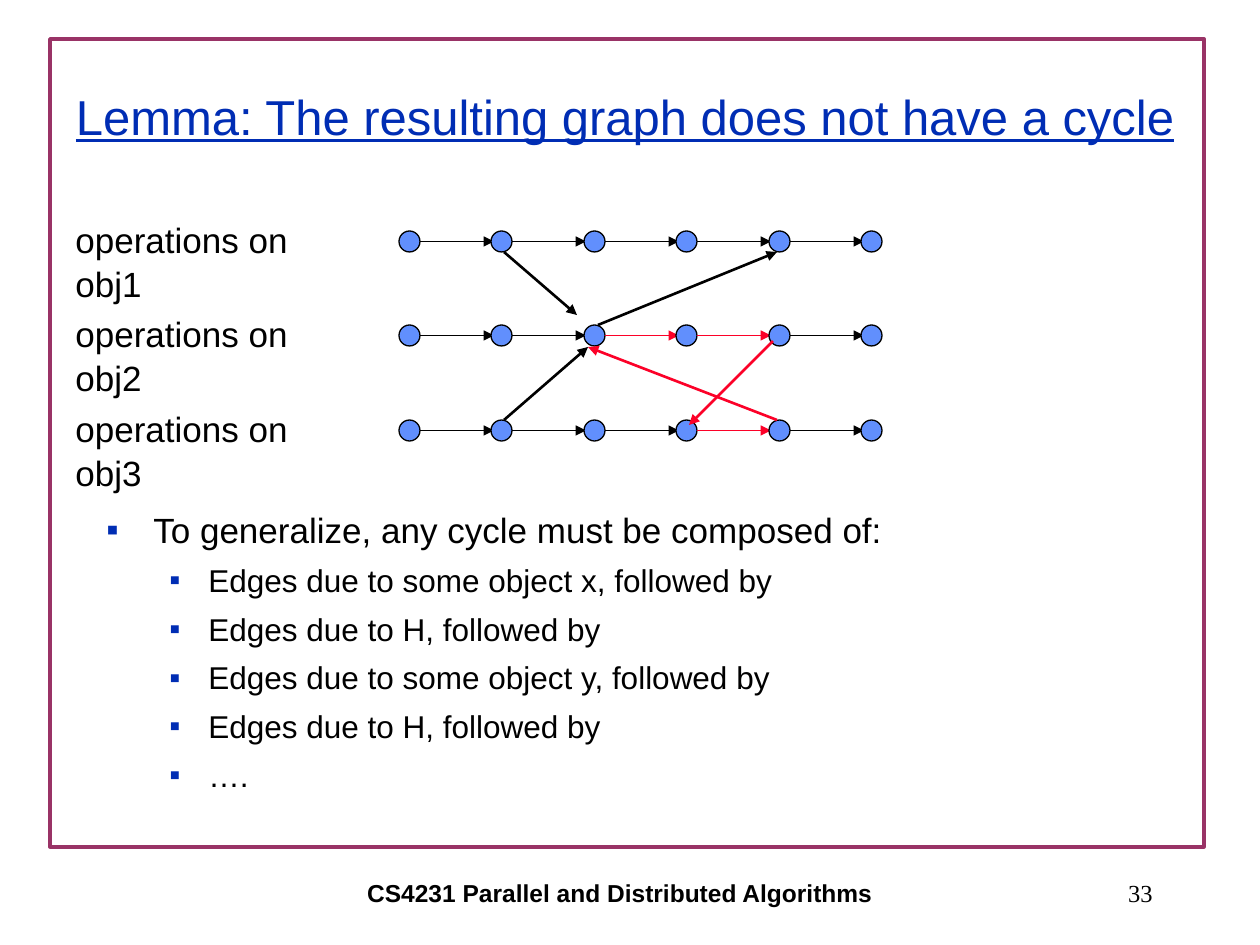
"""Build the slide on why the resulting graph has no cycle."""
import lxml.etree
import pptx
import pptx.dml.color
import pptx.enum.shapes
import pptx.enum.text
import pptx.oxml.ns
import pptx.util

PX = 914400 / 126
COLORS = {"frame": "993366", "title": "002DB4", "text": "000000",
          "node": "618FFD", "edge": "000000", "cycle": "FC0128"}

TITLE = "Lemma: The resulting graph does not have a cycle"
FOOTER = "CS4231 Parallel and Distributed Algorithms"
PAGE_NUMBER = "33"
LABELS = ["operations on obj1", "operations on obj2", "operations on obj3"]
BULLETS = [
    (0, "To generalize, any cycle must be composed of:"),
    (1, "Edges due to some object x, followed by"),
    (1, "Edges due to H, followed by"),
    (1, "Edges due to some object y, followed by"),
    (1, "Edges due to H, followed by"),
    (1, "…."),
]
LEVELS = [{"size": 20, "left": 47, "hanging": 47}, {"size": 18, "left": 102, "hanging": 39}]
CYCLE_LINKS = {(1, 2), (1, 3), (2, 3)}
CROSS_EDGES = [
    ((504, 420), (588, 347), "edge"),
    ((777, 420), (588, 347), "cycle"),
    ((598, 325), (777, 252), "edge"),
    ((504, 252), (577, 315), "edge"),
    ((773, 341), (689, 425), "cycle"),
]
COLUMNS, NODE_SIZE, LINK_LENGTH = 6, 21, 74
GRID_LEFT, GRID_TOP, COLUMN_STEP, ROW_STEP = 399, 231, 92.4, 94.5
LABEL_TOP = 210

ALIGN = pptx.enum.text.PP_ALIGN
ANCHOR = pptx.enum.text.MSO_ANCHOR
SHAPE = pptx.enum.shapes.MSO_SHAPE


def emu(px):
    return round(px * PX)


def color(name):
    return pptx.dml.color.RGBColor.from_string(COLORS[name])


def add_element(parent, tag, **attributes):
    element = lxml.etree.SubElement(parent, pptx.oxml.ns.qn(tag))
    for name, value in attributes.items():
        element.set(name, value)
    return element


def add_outlined(slide, kind, box, line, width, fill=None):
    shape = slide.shapes.add_shape(kind, *map(emu, box))
    shape.shadow.inherit = False
    if fill:
        shape.fill.solid()
        shape.fill.fore_color.rgb = color(fill)
    else:
        shape.fill.background()
    shape.line.color.rgb = color(line)
    shape.line.width = pptx.util.Pt(width)


def add_arrow(slide, start, end, line, width):
    connector = slide.shapes.add_connector(
        pptx.enum.shapes.MSO_CONNECTOR.STRAIGHT, *map(emu, start + end))
    connector.line.color.rgb = color(line)
    connector.line.width = pptx.util.Pt(width)
    add_element(connector.line._get_or_add_ln(), "a:tailEnd", type="triangle", w="med", len="med")
    add_element(connector._element.spPr, "a:effectLst")


def add_frame(slide, box, anchor=ANCHOR.TOP):
    frame = slide.shapes.add_textbox(*map(emu, box)).text_frame
    frame.word_wrap = True
    frame.vertical_anchor = anchor
    return frame


def add_run(paragraph, text, size, name="text", font="Arial", bold=False, underline=False):
    run = paragraph.add_run()
    run.text = text
    run.font.size = pptx.util.Pt(size)
    run.font.name = font
    run.font.bold = bold
    run.font.underline = underline
    run.font.color.rgb = color(name)


def add_line(slide, box, text, size, align, anchor=ANCHOR.MIDDLE, **style):
    paragraph = add_frame(slide, box, anchor).paragraphs[0]
    paragraph.alignment = align
    add_run(paragraph, text, size, **style)
    return paragraph


def add_graph(slide):
    for row, label in enumerate(LABELS):
        top = int(GRID_TOP + row * ROW_STEP)
        middle = top + NODE_SIZE / 2
        for column in range(COLUMNS):
            left = round(GRID_LEFT + column * COLUMN_STEP)
            add_outlined(slide, SHAPE.OVAL, (left, top, NODE_SIZE, NODE_SIZE), "edge", 0.75, "node")
            if column < COLUMNS - 1:
                start = left + NODE_SIZE
                line = "cycle" if (row, column) in CYCLE_LINKS else "edge"
                add_arrow(slide, (start, middle), (start + LINK_LENGTH, middle), line, 0.75)
        box = (63, int(LABEL_TOP + row * ROW_STEP), 290, 97)
        add_line(slide, box, label, 20, ALIGN.LEFT, ANCHOR.TOP).line_spacing = 1.05
    for start, end, line in CROSS_EDGES:
        add_arrow(slide, start, end, line, 1.5)


def add_bullets(slide):
    frame = add_frame(slide, (94, 502, 1071, 276))
    for index, (level, text) in enumerate(BULLETS):
        paragraph = frame.add_paragraph() if index else frame.paragraphs[0]
        style = LEVELS[level]
        paragraph.level = level
        if index:
            paragraph.space_before = pptx.util.Pt(6.2)
        properties = paragraph._p.get_or_add_pPr()
        properties.set("marL", str(emu(style["left"])))
        properties.set("indent", str(-emu(style["hanging"])))
        add_element(add_element(properties, "a:buClr"), "a:srgbClr", val=COLORS["title"])
        add_element(properties, "a:buFont", typeface="Arial")
        add_element(properties, "a:buChar", char="▪")
        add_run(paragraph, text, style["size"])


def main():
    presentation = pptx.Presentation()
    presentation.slide_width, presentation.slide_height = emu(1260), emu(945)
    slide = presentation.slides.add_slide(presentation.slide_layouts[6])
    add_outlined(slide, SHAPE.RECTANGLE, (50, 39, 1154, 808), "frame", 2)
    add_line(slide, (179, 861, 882, 63), FOOTER, 14, ALIGN.CENTER, bold=True)
    add_line(slide, (903, 861, 262, 63), PAGE_NUMBER, 14, ALIGN.RIGHT, font="Times New Roman")
    add_graph(slide)
    add_bullets(slide)
    add_line(slide, (53, 58, 1144, 116), TITLE, 28, ALIGN.CENTER, name="title", underline=True)
    presentation.save("out.pptx")


if __name__ == "__main__":
    main()
